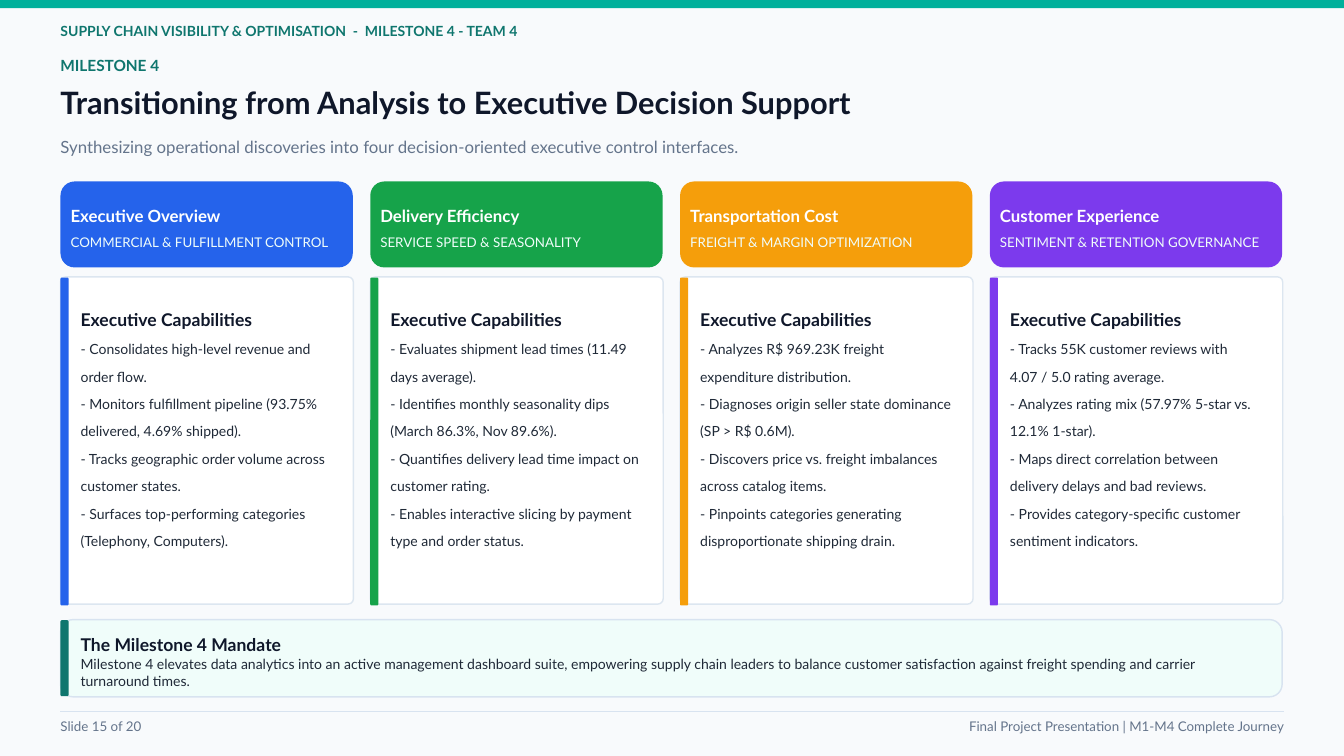
from dataclasses import dataclass

from lxml.etree import SubElement
from pptx import Presentation
from pptx.dml.color import RGBColor as RGB
from pptx.enum.shapes import MSO_CONNECTOR as Link, MSO_SHAPE as Kind
from pptx.enum.text import PP_ALIGN as Align
from pptx.oxml.ns import qn
from pptx.util import Inches, Pt


@dataclass(frozen=True)
class Theme:
    font: str = "Lato"
    # Colours
    back: str = "F8FAFC"
    top: str = "00B09B"
    teal: str = "0F766E"
    ink: str = "0F172A"
    body: str = "1F2937"
    muted: str = "64748B"
    white: str = "FFFFFF"
    mint: str = "F0FDFA"
    edge: str = "DCE6F0"
    rule: str = "D8E3F0"
    # Type sizes in points
    title: float = 33
    lead: float = 18
    head: float = 18.8
    label: float = 16.5
    text: float = 15
    small: float = 14.3


class Deck:
    def __init__(self, theme):
        self.theme = theme
        self.prs = Presentation()
        self.prs.slide_width = Inches(20)
        self.prs.slide_height = Inches(11.25)
        self.slide = self.prs.slides.add_slide(self.prs.slide_layouts[6])
        fill = self.slide.background.fill
        fill.solid()
        fill.fore_color.rgb = RGB.from_string(theme.back)

    def box(self, x, y, w, h, color, edge=None, radius=0):
        kind = Kind.ROUNDED_RECTANGLE if radius else Kind.RECTANGLE
        shape = self.slide.shapes.add_shape(
            kind, Inches(x), Inches(y), Inches(w), Inches(h))
        if radius:
            shape.adjustments[0] = radius / min(w, h)
        shape.shadow.inherit = False
        shape.fill.solid()
        shape.fill.fore_color.rgb = RGB.from_string(color)
        if edge:
            shape.line.color.rgb = RGB.from_string(edge)
            shape.line.width = Pt(1.5)
        else:
            shape.line.fill.background()

    def text(self, x, y, w, h, *lines, align=Align.LEFT):
        """Each line is (words, size, colour, bold, line height)."""
        box = self.slide.shapes.add_textbox(
            Inches(x), Inches(y), Inches(w), Inches(h))
        frame = box.text_frame
        frame.word_wrap = True
        frame.margin_left = frame.margin_right = 0
        frame.margin_top = frame.margin_bottom = 0
        for i, (words, size, color, bold, lead) in enumerate(lines):
            para = frame.add_paragraph() if i else frame.paragraphs[0]
            para.alignment = align
            para.line_spacing = Pt(lead)
            run = para.add_run()
            run.text = words
            run.font.name = self.theme.font
            run.font.size = Pt(size)
            run.font.bold = bold
            run.font.color.rgb = RGB.from_string(color)

    def line(self, x1, x2, y, color, width):
        line = self.slide.shapes.add_connector(
            Link.STRAIGHT, Inches(x1), Inches(y), Inches(x2), Inches(y))
        line.line.color.rgb = RGB.from_string(color)
        line.line.width = Pt(width)
        SubElement(line._element.spPr, qn("a:effectLst"))

    def column(self, x, color, name, tag, points):
        t = self.theme
        # Header
        self.box(x, 2.7, 4.35, 1.28, color, radius=0.21)
        self.text(x + 0.15, 2.89, 4.05, 0.8,
                  (name, t.lead, t.white, True, 33.5),
                  (tag, t.small, t.mint, False, 26.5))
        # Card with accent bar
        self.box(x, 4.12, 4.36, 4.87, t.white, t.edge, 0.08)
        self.box(x, 4.13, 0.12, 4.88, color, radius=0.02)
        self.text(x + 0.3, 4.4, 3.83, 3.73,
                  ("Executive Capabilities", t.head, t.ink, True, 36.8),
                  *[("- " + point, t.text, t.body, False, 29.4)
                    for point in points])


COLUMNS = [
    ("2563EB", "Executive Overview", "COMMERCIAL & FULFILLMENT CONTROL", [
        "Consolidates high-level revenue and order flow.",
        "Monitors fulfillment pipeline (93.75% delivered, 4.69% shipped).",
        "Tracks geographic order volume across customer states.",
        "Surfaces top-performing categories (Telephony, Computers)."]),
    ("16A34A", "Delivery Efficiency", "SERVICE SPEED & SEASONALITY", [
        "Evaluates shipment lead times (11.49 days average).",
        "Identifies monthly seasonality dips (March 86.3%, Nov 89.6%).",
        "Quantifies delivery lead time impact on customer rating.",
        "Enables interactive slicing by payment type and order status."]),
    ("F59E0B", "Transportation Cost", "FREIGHT & MARGIN OPTIMIZATION", [
        "Analyzes R$ 969.23K freight expenditure distribution.",
        "Diagnoses origin seller state dominance (SP > R$ 0.6M).",
        "Discovers price vs. freight imbalances across catalog items.",
        "Pinpoints categories generating disproportionate shipping drain."]),
    ("7C3AED", "Customer Experience", "SENTIMENT & RETENTION GOVERNANCE", [
        "Tracks 55K customer reviews with 4.07 / 5.0 rating average.",
        "Analyzes rating mix (57.97% 5-star vs. 12.1% 1-star).",
        "Maps direct correlation between delivery delays and bad reviews.",
        "Provides category-specific customer sentiment indicators."]),
]
LEFT, RIGHT, STEP = 0.9, 19.11, 4.61


def main():
    t = Theme()
    deck = Deck(t)

    # Top band and titles
    deck.box(0, 0, 20, 0.12, t.top)
    deck.text(LEFT, 0.33, 12, 0.45, (
        "SUPPLY CHAIN VISIBILITY & OPTIMISATION  -  MILESTONE 4 - TEAM 4",
        t.text, t.teal, True, 18))
    deck.text(LEFT, 0.83, 12, 0.38,
              ("MILESTONE 4", t.label, t.teal, True, 19.8))
    deck.text(LEFT, 1.24, 18, 0.74, (
        "Transitioning from Analysis to Executive Decision Support",
        t.title, t.ink, True, 39.6))
    deck.text(LEFT, 2.03, 18, 0.53, (
        "Synthesizing operational discoveries into four decision-oriented "
        "executive control interfaces.", t.lead, t.muted, False, 21.6))

    # Four columns
    for i, column in enumerate(COLUMNS):
        deck.column(LEFT + i * STEP, *column)

    # Mandate
    deck.box(LEFT, 9.22, 18.18, 1.15, t.mint, t.rule, 0.19)
    deck.box(LEFT, 9.23, 0.12, 1.13, t.teal, radius=0.02)
    deck.text(LEFT + 0.3, 9.44, 17.64, 0.71,
              ("The Milestone 4 Mandate", t.head, t.ink, True, 22.5),
              ("Milestone 4 elevates data analytics into an active management "
               "dashboard suite, empowering supply chain leaders to balance "
               "customer satisfaction against freight spending and carrier "
               "turnaround times.", t.text, t.body, False, 18))

    # Footer
    deck.line(LEFT, RIGHT, 10.59, t.rule, 1.75)
    deck.text(LEFT, 10.69, 6, 0.38,
              ("Slide 15 of 20", t.small, t.muted, False, 17.1))
    deck.text(RIGHT - 6, 10.69, 6, 0.38, (
        "Final Project Presentation | M1-M4 Complete Journey",
        t.small, t.muted, False, 17.1), align=Align.RIGHT)

    deck.prs.save("out.pptx")


if __name__ == "__main__":
    main()
